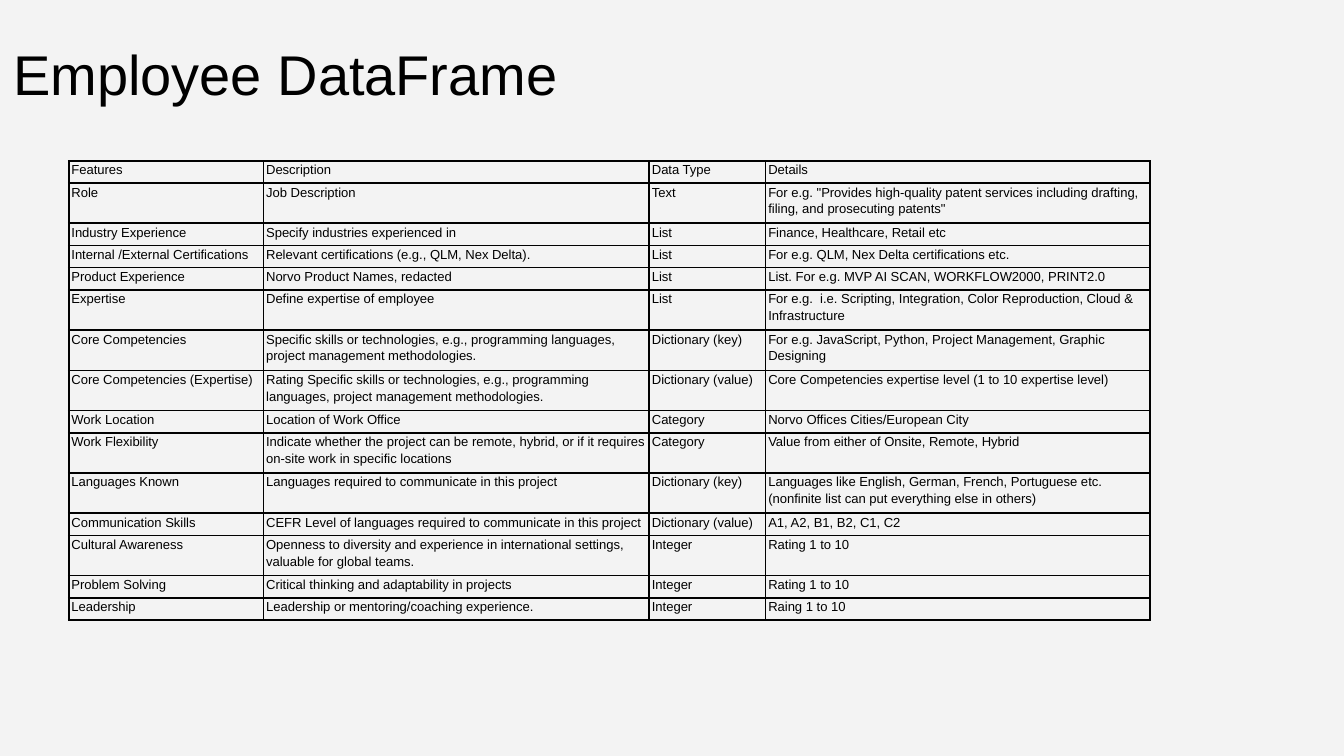
import pptx
import pptx.dml.color
import pptx.enum.text
import pptx.oxml
import pptx.oxml.ns
import pptx.util
from pptx.util import Cm

TITLE = "Employee DataFrame"
HEADER = ("Features", "Description", "Data Type", "Details")
FEATURES = [
    ("Role", "Job Description", "Text",
     'For e.g. "Provides high-quality patent services including drafting, filing, and prosecuting patents"'),
    ("Industry Experience", "Specify industries experienced in", "List", "Finance, Healthcare, Retail etc"),
    ("Internal /External Certifications", "Relevant certifications (e.g., QLM, Nex Delta).", "List",
     "For e.g. QLM, Nex Delta certifications etc."),
    ("Product Experience", "Norvo Product Names, redacted", "List",
     "List. For e.g. MVP AI SCAN, WORKFLOW2000, PRINT2.0"),
    ("Expertise", "Define expertise of employee", "List",
     "For e.g.  i.e. Scripting, Integration, Color Reproduction, Cloud & Infrastructure"),
    ("Core Competencies",
     "Specific skills or technologies, e.g., programming languages, project management methodologies.",
     "Dictionary (key)", "For e.g. JavaScript, Python, Project Management, Graphic Designing"),
    ("Core Competencies (Expertise)",
     "Rating Specific skills or technologies, e.g., programming languages, project management methodologies.",
     "Dictionary (value)", "Core Competencies expertise level (1 to 10 expertise level)"),
    ("Work Location", "Location of Work Office", "Category", "Norvo Offices Cities/European City"),
    ("Work Flexibility",
     "Indicate whether the project can be remote, hybrid, or if it requires on-site work in specific locations",
     "Category", "Value from either of Onsite, Remote, Hybrid"),
    ("Languages Known", "Languages required to communicate in this project", "Dictionary (key)",
     "Languages like English, German, French, Portuguese etc. (nonfinite list can put everything else in others)"),
    ("Communication Skills", "CEFR Level of languages required to communicate in this project",
     "Dictionary (value)", "A1, A2, B1, B2, C1, C2"),
    ("Cultural Awareness",
     "Openness to diversity and experience in international settings, valuable for global teams.",
     "Integer", "Rating 1 to 10"),
    ("Problem Solving", "Critical thinking and adaptability in projects", "Integer", "Rating 1 to 10"),
    ("Leadership", "Leadership or mentoring/coaching experience.", "Integer", "Raing 1 to 10"),
]
COLORS = {"background": "F3F3F3", "ink": "000000"}
FONT = "Arial"
COLUMN_WIDTHS = (3.68, 7.29, 2.2, 7.26)
ONE_LINE, TWO_LINES = 0.42, 0.76
LINE_CAPACITY = 66


def rgb(name):
    """Return the named colour."""
    return pptx.dml.color.RGBColor.from_string(COLORS[name])


def style_paragraph(paragraph, size):
    """Set the font and left alignment of a paragraph."""
    paragraph.alignment = pptx.enum.text.PP_ALIGN.LEFT
    paragraph.font.name = FONT
    paragraph.font.size = pptx.util.Pt(size)
    paragraph.font.bold = False
    paragraph.font.color.rgb = rgb("ink")


def add_borders(cell):
    """Draw a thin line on all four sides of a cell."""
    properties = cell._tc.get_or_add_tcPr()
    for position, side in enumerate(("lnL", "lnR", "lnT", "lnB")):
        border = pptx.oxml.parse_xml(
            f'<a:{side} {pptx.oxml.ns.nsdecls("a")} w="{pptx.util.Pt(1)}"><a:solidFill>'
            f'<a:srgbClr val="{COLORS["ink"]}"/></a:solidFill></a:{side}>')
        properties.insert(position, border)


def add_title(slide):
    """Place and format the slide title."""
    title = slide.shapes.title
    title.left, title.top, title.width, title.height = Cm(0), Cm(0.38), Cm(21.4), Cm(1.6)
    frame = title.text_frame
    frame.text = TITLE
    frame.word_wrap = True
    frame.auto_size = pptx.enum.text.MSO_AUTO_SIZE.NONE
    frame.vertical_anchor = pptx.enum.text.MSO_ANCHOR.TOP
    frame.margin_left = frame.margin_right = frame.margin_bottom = Cm(0.25)
    frame.margin_top = Cm(0.36)
    style_paragraph(frame.paragraphs[0], 30)


def add_feature_table(slide):
    """Add the table of employee features."""
    rows = [HEADER] + FEATURES
    heights = [TWO_LINES if max(map(len, row)) > LINE_CAPACITY - 1 else ONE_LINE for row in rows]
    table = slide.shapes.add_table(len(rows), len(HEADER), Cm(1.3), Cm(3.04),
                                   Cm(sum(COLUMN_WIDTHS)), Cm(sum(heights))).table
    table.first_row = table.horz_banding = False
    for column, width in zip(table.columns, COLUMN_WIDTHS):
        column.width = Cm(width)
    for table_row, height, texts in zip(table.rows, heights, rows):
        table_row.height = Cm(height)
        for cell, text in zip(table_row.cells, texts):
            cell.text = text
            cell.fill.background()
            cell.margin_left = cell.margin_right = Cm(0.05)
            cell.margin_top = cell.margin_bottom = Cm(0)
            cell.vertical_anchor = pptx.enum.text.MSO_ANCHOR.TOP
            paragraph = cell.text_frame.paragraphs[0]
            paragraph.line_spacing = 1.15
            style_paragraph(paragraph, 7)
            add_borders(cell)


def main():
    """Build and save the slide."""
    presentation = pptx.Presentation()
    presentation.slide_width, presentation.slide_height = Cm(25.4), Cm(14.29)
    slide = presentation.slides.add_slide(presentation.slide_layouts[5])
    slide.background.fill.solid()
    slide.background.fill.fore_color.rgb = rgb("background")
    add_title(slide)
    add_feature_table(slide)
    presentation.save("out.pptx")


if __name__ == "__main__":
    main()
